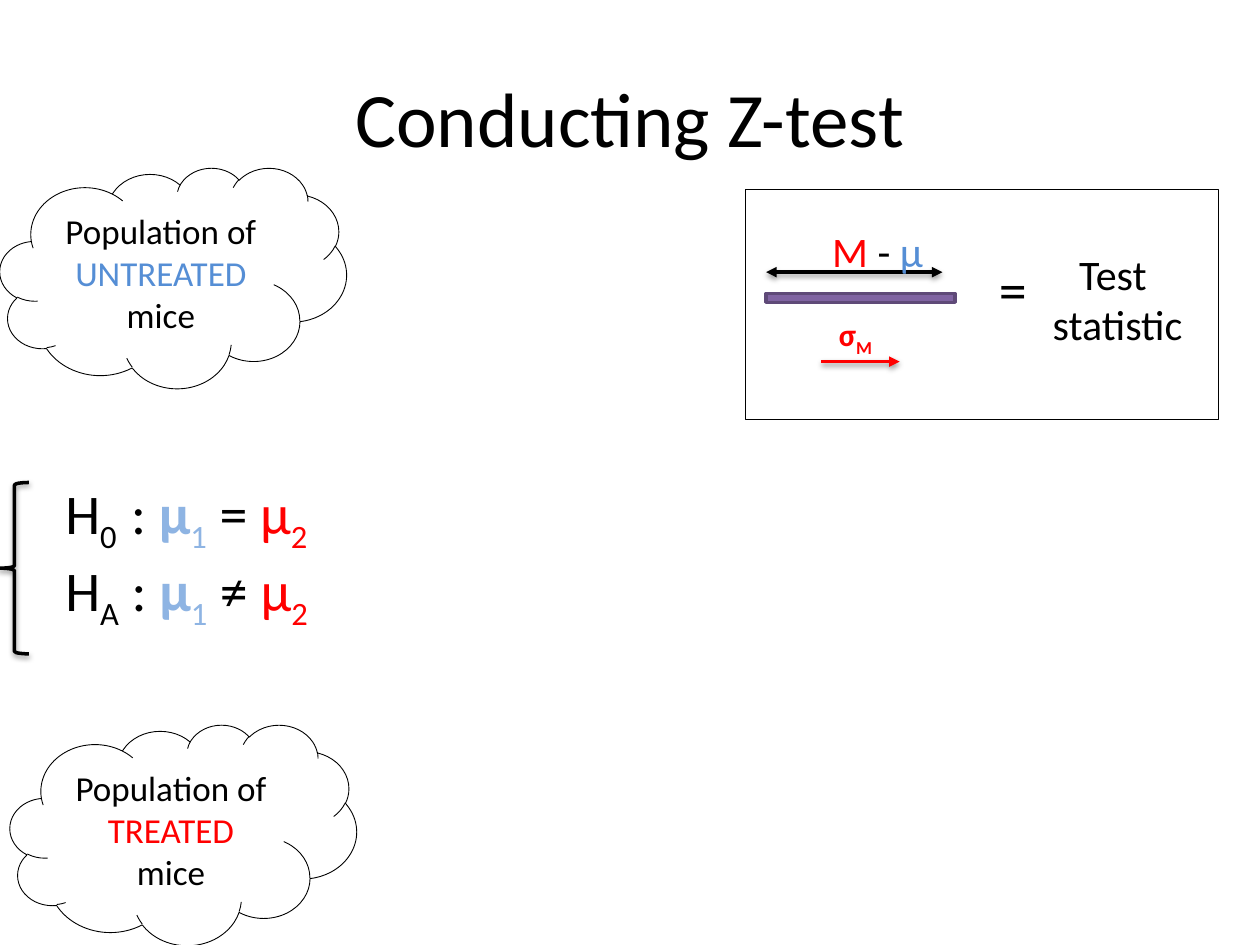
from lxml import etree
from pptx import Presentation
from pptx.dml.color import RGBColor
from pptx.enum.shapes import MSO_CONNECTOR, MSO_SHAPE
from pptx.enum.text import MSO_ANCHOR, PP_ALIGN
from pptx.oxml import parse_xml
from pptx.oxml.ns import nsdecls, qn
from pptx.util import Inches, Pt

C = {"black": "000000", "red": "FF0000", "blue": "558ED5", "pale": "8EB4E3",
     "purple": "8064A2", "edge": "5F4A78"}
SHADOW = (f'<a:effectLst {nsdecls("a")}><a:outerShdw blurRad="{Pt(3.1)}" dist="{Pt(1.6)}" '
          'dir="5400000" rotWithShape="0"><a:srgbClr val="000000"><a:alpha val="38000"/>'
          '</a:srgbClr></a:outerShdw></a:effectLst>')


def write(sp, paragraphs, size, align=PP_ALIGN.LEFT, anchor=MSO_ANCHOR.TOP, wrap=True):
    """Each paragraph is a list of (text, colour, flags); flags: b bold, s subscript."""
    tf = sp.text_frame
    tf.word_wrap = wrap
    tf.vertical_anchor = anchor
    for i, runs in enumerate(paragraphs):
        p = tf.paragraphs[0] if i == 0 else tf.add_paragraph()
        p.alignment = align
        for text, color, flags in runs:
            r = p.add_run()
            r.text = text
            r.font.name = "Calibri"
            r.font.size = Pt(size)
            r.font.bold = "b" in flags
            r.font.color.rgb = RGBColor.from_string(C[color])
            if "s" in flags:
                r._r.get_or_add_rPr().set("baseline", "-25000")


def outline(sp, color, width, fill=None):
    sp.line.color.rgb = RGBColor.from_string(C[color])
    sp.line.width = Pt(width)
    sp.shadow.inherit = False
    if fill:
        sp.fill.solid()
        sp.fill.fore_color.rgb = RGBColor.from_string(C[fill])
    else:
        sp.fill.background()


prs = Presentation()
prs.slide_width, prs.slide_height = Inches(10), Inches(7.5)
s = prs.slides.add_slide(prs.slide_layouts[5])
shapes = s.shapes

# Title
title = shapes.title
title.left, title.top, title.width, title.height = map(Inches, (0.5, 0.3, 9, 1.25))
write(title, [[("Conducting Z-test", "black", "")]], 44, PP_ALIGN.CENTER, MSO_ANCHOR.MIDDLE)

# Hypotheses with brace
brace = shapes.add_shape(MSO_SHAPE.LEFT_BRACE, Inches(0), Inches(3.83), Inches(0.23), Inches(1.36))
outline(brace, "black", 2)
brace._element.spPr.remove(brace._element.spPr.find(qn("a:effectLst")))
brace._element.spPr.append(parse_xml(SHADOW))

hypotheses = [
    [("H", "black", ""), (sub, "black", "s"), (colon, "black", ""),
     ("µ", "pale", "b"), ("1", "pale", "s"), (f" {sign} ", "black", ""),
     ("µ", "red", ""), ("2", "red", "s")]
    for sub, colon, sign in (("0  ", ": ", "="), ("A", " : ", "≠"))]
box = shapes.add_textbox(Inches(0.42), Inches(3.75), Inches(2.5), Inches(1.47))
write(box, hypotheses, 32)

# Population clouds
for x, y, group, color in ((0, 1.33, "UNTREATED ", "blue"), (0.08, 5.75, "TREATED ", "red")):
    cloud = shapes.add_shape(MSO_SHAPE.CLOUD, Inches(x), Inches(y), Inches(2.75), Inches(1.75))
    outline(cloud, "black", 0.5)
    write(cloud, [[("Population of ", "black", ""), (group, color, ""), ("mice", "black", "")]],
          20, PP_ALIGN.CENTER, MSO_ANCHOR.MIDDLE)

# Arrows of the formula
for x1, x2, y, color, ends in ((7.48, 6.08, 2.16, "black", ("headEnd", "tailEnd")),
                               (6.52, 7.14, 2.87, "red", ("tailEnd",))):
    arrow = shapes.add_connector(MSO_CONNECTOR.STRAIGHT, Inches(x1), Inches(y), Inches(x2), Inches(y))
    arrow.line.color.rgb = RGBColor.from_string(C[color])
    arrow.line.width = Pt(2)
    for end in ends:
        etree.SubElement(arrow.line._get_or_add_ln(), qn(f"a:{end}"), type="triangle")
    arrow._element.spPr.append(parse_xml(SHADOW))

# Fraction bar
bar = shapes.add_shape(MSO_SHAPE.RECTANGLE, Inches(6.08), Inches(2.33), Inches(1.5), Inches(0.07))
outline(bar, "edge", 2, fill="purple")

# Formula texts
for x, y, w, h, paragraphs, size, align, wrap in (
    (6.48, 1.74, 0.97, 0.5, [[("M", "red", ""), (" - ", "black", ""), ("µ", "blue", "")]],
     24, PP_ALIGN.CENTER, True),
    (6.56, 2.45, 0.49, 0.4, [[("σ", "red", "b"), ("M", "red", "bs")]], 18, PP_ALIGN.LEFT, False),
    (8.25, 1.92, 1.24, 0.91, [[("Test ", "black", "")], [("statistic", "black", "")]],
     24, PP_ALIGN.CENTER, False),
    (7.83, 1.97, 0.58, 0.64, [[("=", "black", "")]], 32, PP_ALIGN.LEFT, True),
):
    box = shapes.add_textbox(Inches(x), Inches(y), Inches(w), Inches(h))
    write(box, paragraphs, size, align, wrap=wrap)

# Formula frame
frame = shapes.add_shape(MSO_SHAPE.RECTANGLE, Inches(5.92), Inches(1.5), Inches(3.75), Inches(1.83))
outline(frame, "black", 0.5)

prs.save("out.pptx")
